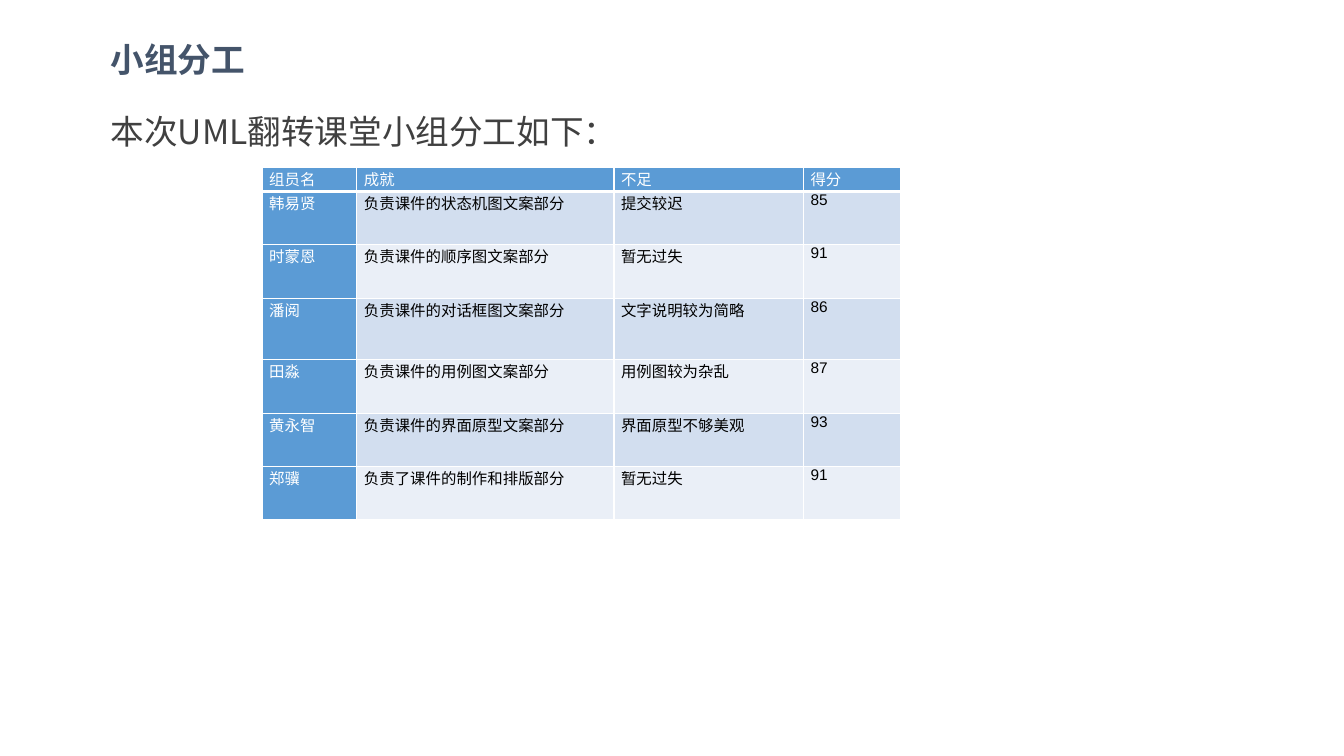
from dataclasses import dataclass

from lxml import etree
from pptx import Presentation
from pptx.dml.color import RGBColor
from pptx.enum import text
from pptx.oxml import ns
from pptx.util import Inches, Pt

WHITE = RGBColor(0xFF, 0xFF, 0xFF)
BLACK = RGBColor(0x00, 0x00, 0x00)
SLATE = RGBColor(0x44, 0x54, 0x6A)
GREY = RGBColor(0x40, 0x40, 0x40)
BLUE = RGBColor(0x5B, 0x9B, 0xD5)
BAND_DARK = RGBColor(0xD2, 0xDE, 0xEF)
BAND_LIGHT = RGBColor(0xEA, 0xEF, 0xF7)
CJK_FONT = "Noto Sans CJK SC"
TABLE_FONT = "Arial"


@dataclass
class Label:
    words: str
    left: float
    top: float
    width: float
    height: float
    color: RGBColor
    bold: bool = False
    centered: bool = False
    side_inset: float = 0.1
    line_spacing: float = 1.0


@dataclass
class Member:
    name: str
    achievement: str
    shortcoming: str
    score: str
    height: float = 0.53


LABELS = [
    Label("小组分工", 1, 0.31, 1.53, 0.55, SLATE, bold=True, centered=True, side_inset=0),
    Label("本次UML翻转课堂小组分工如下：", 1, 0.85, 5.56, 0.71, GREY, line_spacing=1.5),
]
ROWS = [
    Member("组员名", "成就", "不足", "得分", height=0.24),
    Member("韩易贤", "负责课件的状态机图文案部分", "提交较迟", "85"),
    Member("时蒙恩", "负责课件的顺序图文案部分", "暂无过失", "91"),
    Member("潘阅", "负责课件的对话框图文案部分", "文字说明较为简略", "86", height=0.61),
    Member("田淼", "负责课件的用例图文案部分", "用例图较为杂乱", "87"),
    Member("黄永智", "负责课件的界面原型文案部分", "界面原型不够美观", "93"),
    Member("郑骥", "负责了课件的制作和排版部分", "暂无过失", "91"),
]
COLUMN_WIDTHS = [0.94, 2.55, 1.88, 0.96]


def format_run(r, size: float, font: str, color: RGBColor, bold: bool = False) -> None:
    r.font.size = Pt(size)
    r.font.name = font
    r.font.bold = bold
    r.font.color.rgb = color
    east_asian = etree.SubElement(r.font._element, ns.qn("a:ea"))
    east_asian.set("typeface", CJK_FONT)


def add_label(slide, label: Label) -> None:
    sp = slide.shapes.add_textbox(Inches(label.left), Inches(label.top),
                                  Inches(label.width), Inches(label.height))
    tf = sp.text_frame
    tf.word_wrap = True
    tf.margin_left = tf.margin_right = Inches(label.side_inset)
    if label.centered:
        tf.vertical_anchor = text.MSO_ANCHOR.MIDDLE
    tf.text = label.words
    p = tf.paragraphs[0]
    p.alignment = text.PP_ALIGN.CENTER if label.centered else text.PP_ALIGN.LEFT
    p.line_spacing = label.line_spacing
    format_run(p.runs[0], 24, CJK_FONT, label.color, label.bold)


def add_border(cell, side: str, width: float) -> None:
    line = etree.SubElement(cell._tc.get_or_add_tcPr(), ns.qn(f"a:ln{side}"), w=str(Pt(width)))
    fill = etree.SubElement(line, ns.qn("a:solidFill"))
    etree.SubElement(fill, ns.qn("a:srgbClr"), val=str(WHITE))


def format_cell(cell, words: str, row: int, column: int) -> None:
    # Borders: a heavy rule under the header, thin ones elsewhere
    for side in "LRTB":
        heavy = (row, side) in ((0, "B"), (1, "T"))
        add_border(cell, side, 3 if heavy else 1)

    # Fill: solid header row and name column, banded body
    is_header = row == 0 or column == 0
    cell.fill.solid()
    cell.fill.fore_color.rgb = BLUE if is_header else BAND_DARK if row % 2 else BAND_LIGHT

    cell.margin_left = cell.margin_right = Inches(0.07)
    cell.margin_top = cell.margin_bottom = 0
    cell.text_frame.text = words
    p = cell.text_frame.paragraphs[0]
    p.space_before = Pt(6)
    format_run(p.runs[0], 11, TABLE_FONT, WHITE if is_header else BLACK)


def add_member_table(slide) -> None:
    height = sum(member.height for member in ROWS)
    table = slide.shapes.add_table(len(ROWS), len(COLUMN_WIDTHS), Inches(2.6), Inches(1.66),
                                   Inches(sum(COLUMN_WIDTHS)), Inches(height)).table
    for column, width in zip(table.columns, COLUMN_WIDTHS):
        column.width = Inches(width)
    for i, member in enumerate(ROWS):
        table.rows[i].height = Inches(member.height)
        fields = (member.name, member.achievement, member.shortcoming, member.score)
        for j, words in enumerate(fields):
            format_cell(table.cell(i, j), words, i, j)


def main() -> None:
    prs = Presentation()
    prs.slide_width = Inches(13.33)
    prs.slide_height = Inches(7.5)
    s = prs.slides.add_slide(prs.slide_layouts[6])

    # Heading and introduction
    for label in LABELS:
        add_label(s, label)

    # Division of work
    add_member_table(s)
    prs.save("out.pptx")


if __name__ == "__main__":
    main()
